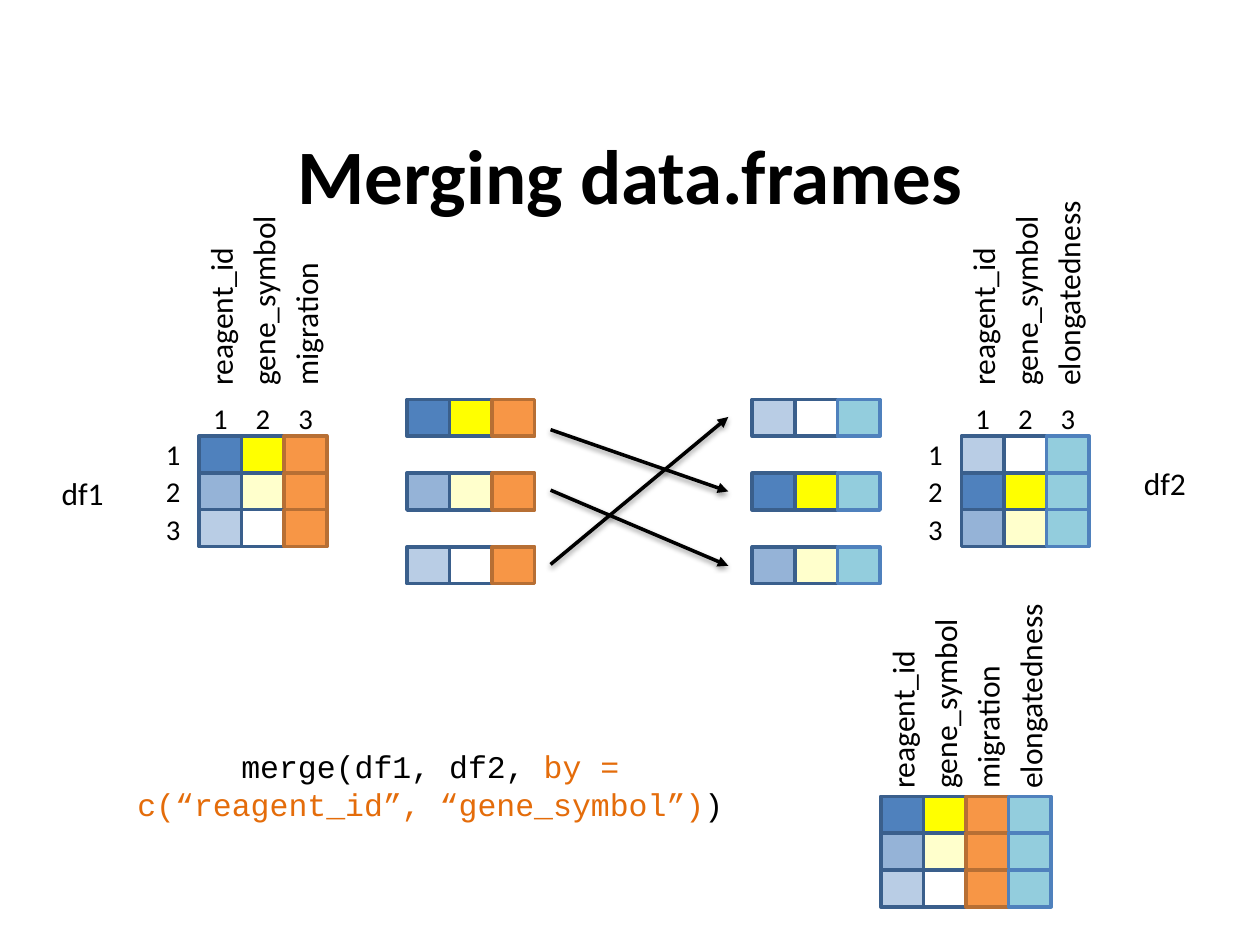
from lxml import etree
from pptx import Presentation
from pptx import util as u
from pptx.dml.color import RGBColor
from pptx.enum import shapes, text
from pptx.oxml import ns

BLACK = RGBColor(0x00, 0x00, 0x00)
CODE_ORANGE = RGBColor(0xE4, 0x6C, 0x0A)
KEY_LINE = RGBColor(0x3A, 0x5F, 0x8C)
# Each measure column has a (fill, line) pair
MIGRATION = (RGBColor(0xF7, 0x96, 0x46), RGBColor(0xB7, 0x6F, 0x34))
ELONGATEDNESS = (RGBColor(0x93, 0xCD, 0xDD), RGBColor(0x4F, 0x81, 0xBD))
# Each record has a (reagent_id, gene_symbol) pair of fills
DARK = (RGBColor(0x4F, 0x81, 0xBD), RGBColor(0xFF, 0xFF, 0x00))
MEDIUM = (RGBColor(0x95, 0xB3, 0xD7), RGBColor(0xFF, 0xFF, 0xCC))
LIGHT = (RGBColor(0xB9, 0xCD, 0xE5), RGBColor(0xFF, 0xFF, 0xFF))
DF1_RECORDS = [DARK, MEDIUM, LIGHT]
DF2_RECORDS = [LIGHT, DARK, MEDIUM]
KEYS = ["reagent_id", "gene_symbol"]

SLIDE_W, SLIDE_H = u.Inches(10), u.Inches(7.5)
# Cell size, in percent of the slide
CELL_W, CELL_H = 3.38, 3.9
NUMBER_H = 4.93


def across(percent):
    return round(SLIDE_W * percent / 100)


def down(percent):
    return round(SLIDE_H * percent / 100)


def style(run, size, color=BLACK, font="Calibri", bold=None):
    run.font.size, run.font.name, run.font.bold = u.Pt(size), font, bold
    run.font.color.rgb = color


def add_label(slide, box, words, size=18, align=text.PP_ALIGN.LEFT):
    left, top, width, height = box
    label = slide.shapes.add_textbox(across(left), down(top), across(width), down(height))
    label.text_frame.word_wrap = True
    paragraph = label.text_frame.paragraphs[0]
    paragraph.text = words
    paragraph.alignment = align
    style(paragraph.runs[0], size)
    return label


def add_record(slide, left, top, keys, measures):
    """Draw one row of cells: the two keys, then the measures."""
    cells = [(fill, KEY_LINE) for fill in keys] + measures
    for column, (fill, line) in enumerate(cells):
        cell = slide.shapes.add_shape(
            shapes.MSO_SHAPE.RECTANGLE, across(left + column * CELL_W), down(top),
            across(CELL_W), down(CELL_H))
        cell.shadow.inherit = False
        cell.fill.solid()
        cell.fill.fore_color.rgb = fill
        cell.line.color.rgb = line
        cell.line.width = u.Pt(2)


def add_headers(slide, left, bottom, names):
    """Set column names upright, each centred on its column."""
    length, thickness = across(17.1), across(4)
    for column, name in enumerate(names):
        header = add_label(slide, (0, 0, 17.1, 5.33), name)
        header.left = across(left + (column + 0.5) * CELL_W) - length // 2
        header.top = down(bottom) - (length + thickness) // 2
        header.rotation = 270


def add_frame(slide, left, top, records, measures, names, header_gap):
    for row, keys in enumerate(records):
        add_record(slide, left, top + row * CELL_H, keys, measures)
    add_headers(slide, left, top - header_gap, names)


def add_numbers(slide, left, top):
    """Number the three columns above a frame and the three rows beside it."""
    for i in range(3):
        for x, y in ((left + i * CELL_W, top - 4.4),
                     (left - 3.75, top - 0.6 + i * 3.98)):
            add_label(slide, (x, y, CELL_W, NUMBER_H), str(i + 1), 16.4,
                      text.PP_ALIGN.CENTER)


def add_arrow(slide, start, end):
    arrow = slide.shapes.add_connector(
        shapes.MSO_CONNECTOR.STRAIGHT, across(start[0]), down(start[1]),
        across(end[0]), down(end[1]))
    arrow.line.color.rgb = BLACK
    arrow.line.width = u.Pt(2)
    line = arrow.line._get_or_add_ln()
    etree.SubElement(line, ns.qn("a:tailEnd"), type="triangle")
    effects = etree.SubElement(arrow._element.spPr, ns.qn("a:effectLst"))
    shadow = etree.SubElement(effects, ns.qn("a:outerShdw"), blurRad="40000",
                              dist="20000", dir="5400000", rotWithShape="0")
    color = etree.SubElement(shadow, ns.qn("a:srgbClr"), val="000000")
    etree.SubElement(color, ns.qn("a:alpha"), val="38000")


def add_matching(slide, left, right, top):
    """Pair the single records of df1 with those of df2."""
    for row in range(3):
        y = top + row * 7.8
        add_record(slide, left, y, DF1_RECORDS[row], [MIGRATION])
        add_record(slide, right, y, DF2_RECORDS[row], [ELONGATEDNESS])
    starts = [top + 3.2, top + 9.6, top + 17.46]
    ends = [top + 1.86, top + 9.73, top + 17.6]
    for row, record in enumerate(DF1_RECORDS):
        add_arrow(slide, (left + 11.4, starts[row]),
                  (right - 1.9, ends[DF2_RECORDS.index(record)]))


def add_title(slide, box):
    title = slide.shapes.title
    left, top, width, height = box
    title.left, title.top = across(left), down(top)
    title.width, title.height = across(width), down(height)
    title.text_frame.text = "Merging data.frames"
    style(title.text_frame.paragraphs[0].runs[0], 44, bold=True)


def add_call(slide, box):
    label = add_label(slide, box, "merge(df1, df2, ", align=text.PP_ALIGN.CENTER)
    paragraph = label.text_frame.paragraphs[0]
    for words in ("by = c(“reagent_id”, “gene_symbol”)", ")"):
        paragraph.add_run().text = words
    for run, color in zip(paragraph.runs, (BLACK, CODE_ORANGE, BLACK)):
        style(run, 18, color, "Courier New")


def main():
    deck = Presentation()
    deck.slide_width, deck.slide_height = SLIDE_W, SLIDE_H
    slide = deck.slides.add_slide(deck.slide_layouts[5])
    add_title(slide, (5, 10, 90, 16.67))
    for left, records, measure, name in (
            (15.8, DF1_RECORDS, MIGRATION, "migration"),
            (76.3, DF2_RECORDS, ELONGATEDNESS, "elongatedness")):
        add_frame(slide, left, 46.13, records, [measure], KEYS + [name], 4)
        add_numbers(slide, left, 46.13)
    add_matching(slide, 32.3, 59.7, 42.27)
    add_call(slide, (8.4, 78.4, 51.5, 9.33))
    add_frame(slide, 69.9, 84.27, DF1_RECORDS, [MIGRATION, ELONGATEDNESS],
              KEYS + ["migration", "elongatedness"], -0.5)
    add_label(slide, (3.9, 49.47, 6, 5.33), "df1")
    add_label(slide, (89.8, 48.4, 6, 5.33), "df2")
    deck.save("out.pptx")


if __name__ == "__main__":
    main()
